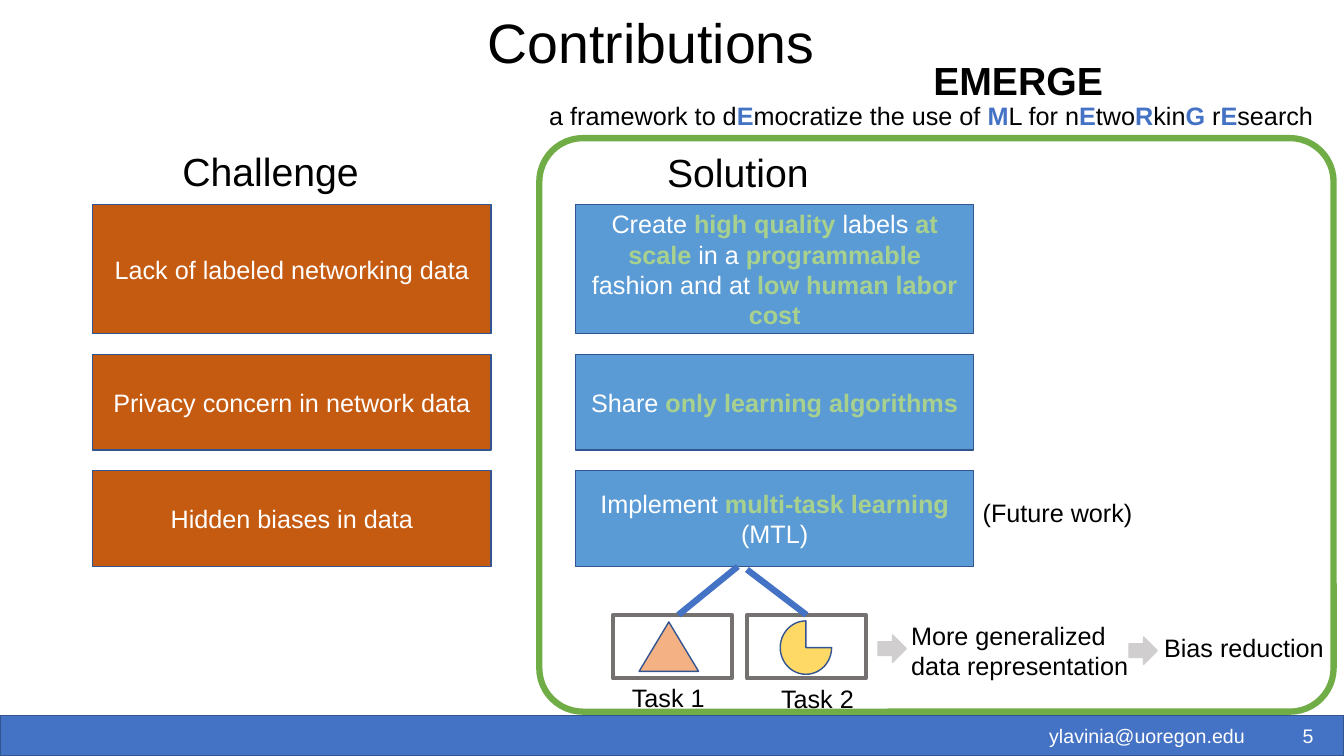
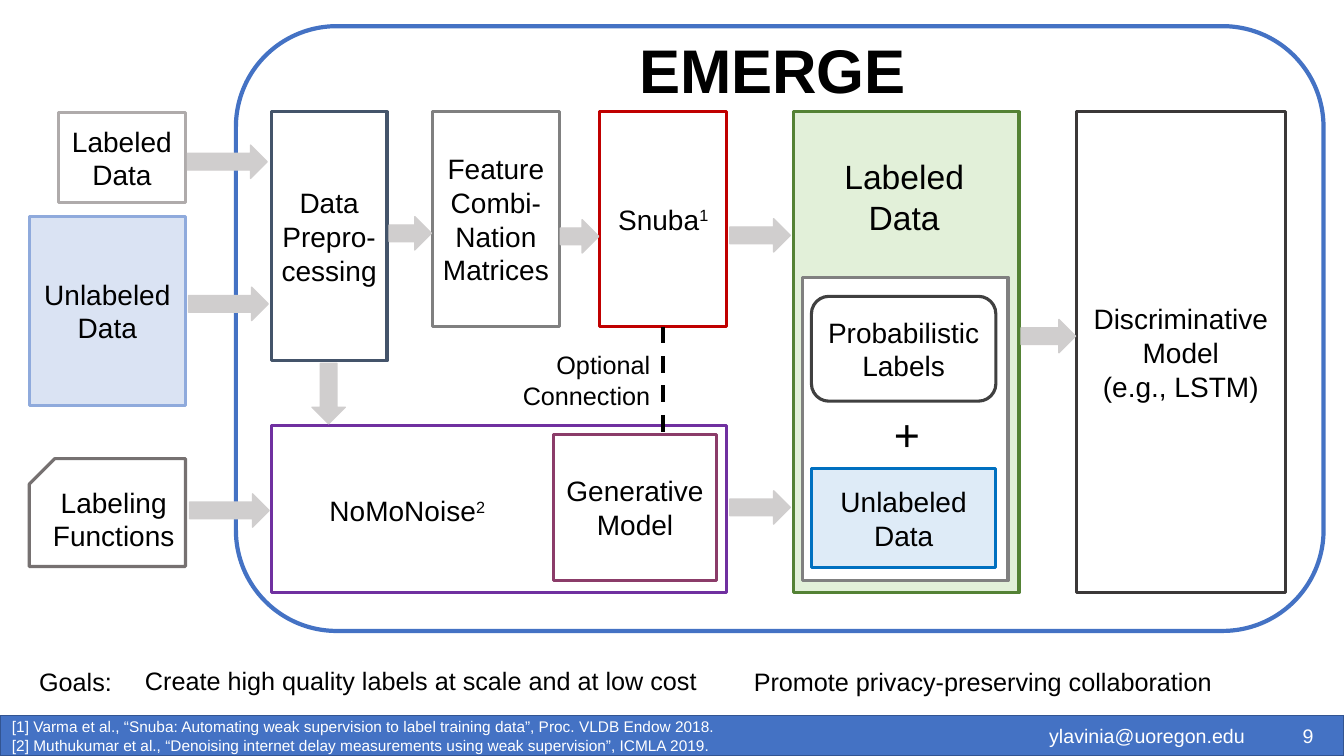
from lxml import etree
from pptx import Presentation
from pptx import util as u
from pptx.dml.color import RGBColor
from pptx.enum import dml, shapes, text
from pptx.oxml.ns import qn

KIND = shapes.MSO_SHAPE
CELL = u.Inches(0.1)  # one grid column or row
WIDE, HIGH = 133.33, 75
FONT = "Arial"
BLACK, WHITE, BLUE, EDGE = "000000", "FFFFFF", "4472C4", "325491"
RUST, SKY, LIME, GREEN = "C55A11", "5B9BD5", "A9D18E", "70AD47"
GREY, SLATE, SILVER = "767171", "808080", "D0CECE"
ALIGN = {"l": text.PP_ALIGN.LEFT, "c": text.PP_ALIGN.CENTER,
         "r": text.PP_ALIGN.RIGHT}


def paint(target, color):
    """Give a fill, or a font's or line's colour, a hex colour."""
    if hasattr(target, "solid"):
        target.solid()
        target = target.fore_color
    target.rgb = RGBColor.from_string(color)


def grid(*cells):
    return [round(n * CELL) for n in cells]


def write(frame, words, size=20, color=BLACK, bold=False, align="c",
          mid=True, hi=None, lead=None):
    """Fill a frame; *stars* mark bold in colour hi, ^ a superscript end."""
    frame.word_wrap = True
    frame.auto_size = text.MSO_AUTO_SIZE.NONE
    frame.vertical_anchor = (text.MSO_ANCHOR.MIDDLE if mid
                             else text.MSO_ANCHOR.TOP)
    for row, line in enumerate(words.split("\n")):
        para = frame.add_paragraph() if row else frame.paragraphs[0]
        para.alignment = ALIGN[align]
        if lead:
            para.line_spacing = lead
        base, _, note = line.partition("^")
        runs = [(part, i % 2 == 1, False)
                for i, part in enumerate(base.split("*"))]
        for part, strong, high in runs + [(note, False, True)]:
            if not part:
                continue
            run = para.add_run()
            run.text = part
            font = run.font
            font.name, font.size = FONT, u.Pt(size)
            font.bold = bold or strong
            paint(font.color, hi if strong and hi else color)
            if high:
                run._r.get_or_add_rPr().set("baseline", "30000")


class Deck:
    def __init__(self):
        self.show = Presentation()
        self.show.slide_width, self.show.slide_height = grid(WIDE, HIGH)
        self.page = None

    def start(self, title, spot, number, **look):
        """Add a slide with its title and the shared footer."""
        self.page = self.show.slides.add_slide(self.show.slide_layouts[5])
        head = self.page.shapes.title
        head.left, head.top, head.width, head.height = grid(*spot)
        write(head.text_frame, title, align="l", **look)
        self.box((0, 71, WIDE, 4), BLUE, EDGE, 1)
        self.label(str(number), (124.9, 71, 6.4, 4), size=14, color=WHITE,
                   align="r", mid=True)
        self.label("ylavinia@uoregon.edu", (103.1, 71.3, 21.8, 3.4), size=14,
                   color=WHITE)

    def box(self, spot, fill, edge, width=2.25, words="", kind=KIND.RECTANGLE,
            adj=None, **look):
        shape = self.page.shapes.add_shape(kind, *grid(*spot))
        shape.shadow.inherit = False
        if fill:
            paint(shape.fill, fill)
        else:
            shape.fill.background()
        paint(shape.line.color, edge)
        shape.line.width = u.Pt(width)
        if adj:
            shape.adjustments[0] = adj
        if words:
            write(shape.text_frame, words, **look)
        return shape

    def label(self, words, spot, size=18, align="l", mid=False, **look):
        frame = self.page.shapes.add_textbox(*grid(*spot)).text_frame
        write(frame, words, size=size, align=align, mid=mid, **look)

    def arrow(self, x, y, w, h=3.3, turn=0):
        shape = self.box((x, y, w, h), SILVER, SILVER, 1,
                         kind=KIND.RIGHT_ARROW)
        shape.rotation = turn

    def line(self, ends, color, width, dash=None):
        link = self.page.shapes.add_connector(
            shapes.MSO_CONNECTOR.STRAIGHT, *grid(*ends))
        paint(link.line.color, color)
        link.line.width = u.Pt(width)
        if dash:
            link.line.dash_style = dash
        etree.SubElement(link._element.spPr, qn("a:effectLst"))


def gains(deck):
    deck.start("Contributions", (47.4, 2.2, 37.9, 4.7), 5, size=39.6, lead=0.9)
    deck.box((53.5, 13.7, 78.8, 56.9), None, GREEN, 4.5,
             kind=KIND.ROUNDED_RECTANGLE, adj=0.076)
    deck.label("EMERGE", (86, 5.1, 30, 5.7), size=28, bold=True, align="c")
    deck.label("a framework to d*E*mocratize the use of *M*L for "
               "n*E*two*R*kin*G *r*E*search", (53.5, 9.45, 78.8, 4.2), hi=BLUE)
    deck.label("Challenge", (17.1, 14.1, 20.5, 5.7), size=28)
    deck.label("Solution", (65.2, 14.2, 17, 5.7), size=28)

    pairs = [
        (12.8, "Lack of labeled networking data",
         "Create *high quality *labels *at scale* in a *programmable* "
         "fashion and at *low human labor cost*"),
        (9.5, "Privacy concern in network data",
         "Share *only learning algorithms*"),
        (9.5, "Hidden biases in data",
         "Implement *multi-task learning *(MTL)"),
    ]
    top = 20.3
    for high, need, answer in pairs:
        for x, fill, words in ((9.2, RUST, need), (57.1, SKY, answer)):
            deck.box((x, top, 39.5, high), fill, EDGE, 1, words, size=18,
                     color=WHITE, hi=LIME)
        top += high + 2.05
    deck.label("(Future work)", (96.5, 48.8, 20.8, 4))

    for x in (60.8, 74.1):
        deck.box((x, 61, 11.8, 6.3), WHITE, GREY, 3)
    deck.box((63.4, 61.7, 5.9, 4.9), "F4B183", EDGE, 1,
             kind=KIND.ISOSCELES_TRIANGLE)
    deck.box((77.4, 61.6, 5.1, 5.3), "FFD966", EDGE, 1, kind=KIND.PIE)
    deck.line((73.2, 56.2, 67.3, 61), BLUE, 4.5)
    deck.line((74.1, 56.5, 80, 61), BLUE, 4.5)
    deck.label("Task 1", (61.7, 67.2, 10.8, 4))
    deck.label("Task 2", (76.5, 67.3, 10.8, 4))
    deck.label("More generalized data representation", (89.4, 61, 24, 7.1))
    deck.label("Bias reduction", (114.5, 62.2, 18.83, 4))
    deck.arrow(87.1, 63, 2.8, 2.7)
    deck.arrow(112, 63.2, 2.8, 2.7)


def flow(deck):
    deck.start("EMERGE", (62.4, 2.7, 29.6, 8.4), 9, size=44, bold=True,
               mid=False)
    deck.box((23.4, 2.6, 107.9, 60), None, BLUE, 3,
             kind=KIND.ROUNDED_RECTANGLE)

    # Inputs
    deck.box((5.8, 11.2, 12.6, 8.9), WHITE, "AFABAB", words="Labeled\nData")
    deck.box((2.9, 21.5, 15.5, 18.7), "DAE3F3", "8FAADC",
             words="Unlabeled\nData")
    snip = deck.box((2.9, 45.5, 15.5, 10.7), WHITE, GREY,
                    words="Labeling\nFunctions",
                    kind=KIND.SNIP_1_RECTANGLE, adj=0.237)
    snip._element.spPr.xfrm.set("flipH", "1")

    # Stages
    top, tall = 11.1, 47.7
    deck.box((26.9, top, 11.5, 24.7), WHITE, "44546A",
             words="Data\nPrepro-\ncessing")
    deck.box((42.9, top, 12.6, 21.3), WHITE, SLATE,
             words="Feature\nCombi-\nNation\nMatrices")
    deck.box((59.5, top, 12.6, 21.3), WHITE, "C00000", words="Snuba^1")
    deck.box((26.9, 42.2, 45.2, 16.6), WHITE, "7030A0")
    deck.box((54.9, 43.1, 16.2, 14.5), WHITE, "8B3C69",
             words="Generative\nModel")
    deck.label("NoMoNoise^2", (31.7, 48.5, 17.8, 4.4), size=20)
    deck.line((65.8, 32.4, 65.8, 43.1), BLACK, 3, dml.MSO_LINE.DASH)
    deck.label("Optional\nConnection", (49.5, 34.2, 16, 7.1), align="r")

    # Results
    deck.box((78.7, top, 22.4, tall), "E2F0D9", "548235")
    deck.label("Labeled\nData", (81.4, 15, 16.6, 9.1), size=24, align="c")
    deck.box((79.6, 27.5, 20.4, 30.1), WHITE, SLATE)
    deck.box((80.5, 29.4, 18.3, 10.4), WHITE, "404040",
             words="Probabilistic\nLabels", kind=KIND.ROUNDED_RECTANGLE)
    deck.label("+", (87.7, 39.9, 4.3, 6.4), size=32)
    deck.box((80.5, 46.5, 18.3, 9.8), "DEEBF7", "0070C0",
             words="Unlabeled\nData")
    deck.box((106.8, top, 20.7, tall), WHITE, "3B3838",
             words="Discriminative\nModel\n(e.g., LSTM)")

    for x, y, w in ((18.6, 14.4, 7.9), (18.7, 28.5, 7.9), (18.8, 49, 7.9),
                    (38.6, 21.5, 4.2), (55.6, 21.8, 3.8), (72.4, 21.7, 6),
                    (72.4, 48.7, 6), (101.3, 31.7, 5.4)):
        deck.arrow(x, y, w)
    deck.arrow(29.6, 37.4, 6, turn=90)

    deck.label("Goals:", (2.9, 65.6, 13.7, 4))
    deck.label("Create high quality labels at scale and at low cost",
               (13.4, 65.5, 59, 4))
    deck.label("Promote privacy-preserving collaboration",
               (73.8, 65.6, 55, 4))
    deck.label("[1] Varma et al., “Snuba: Automating weak supervision to label "
               "training data”, Proc. VLDB Endow 2018.\n"
               "[2] Muthukumar et al., “Denoising internet delay measurements "
               "using weak supervision”, ICMLA 2019.",
               (0.2, 70.7, 97.8, 4.3), size=11, color=WHITE)


def main():
    deck = Deck()
    gains(deck)
    flow(deck)
    deck.show.save("out.pptx")


if __name__ == "__main__":
    main()
